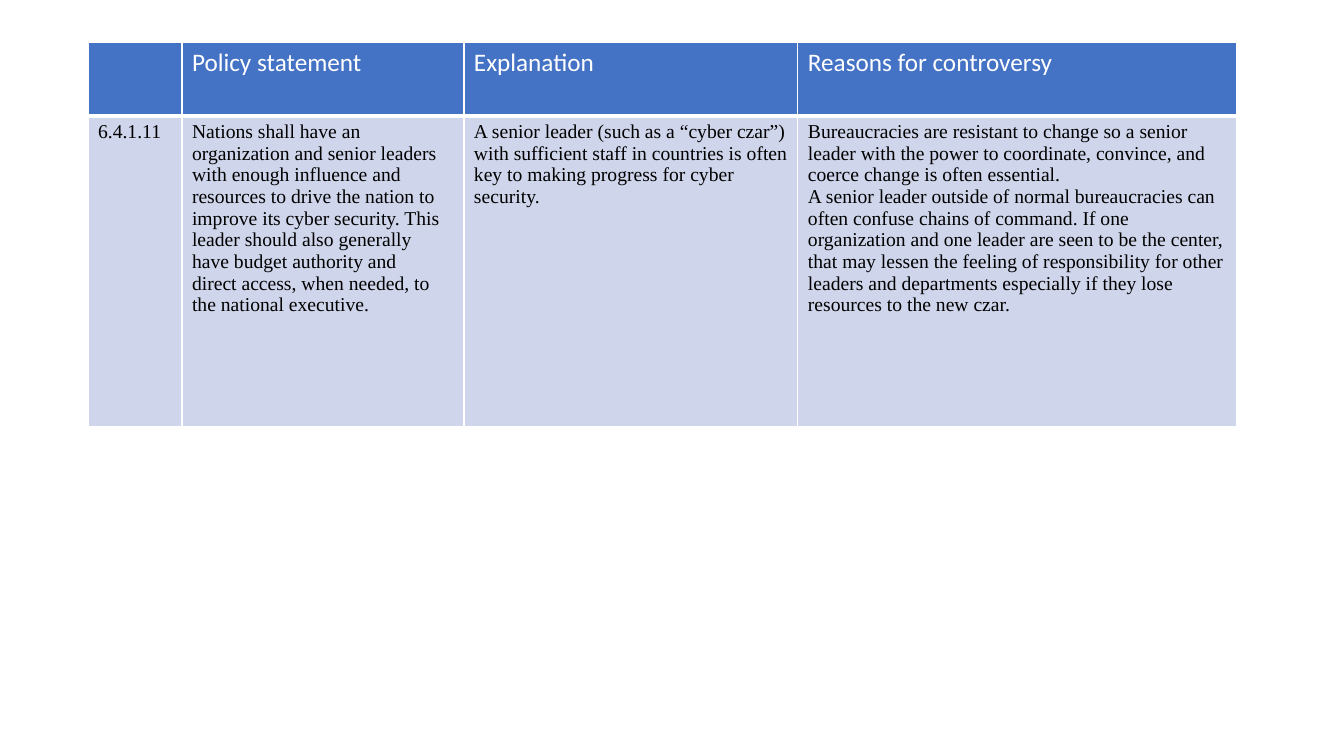
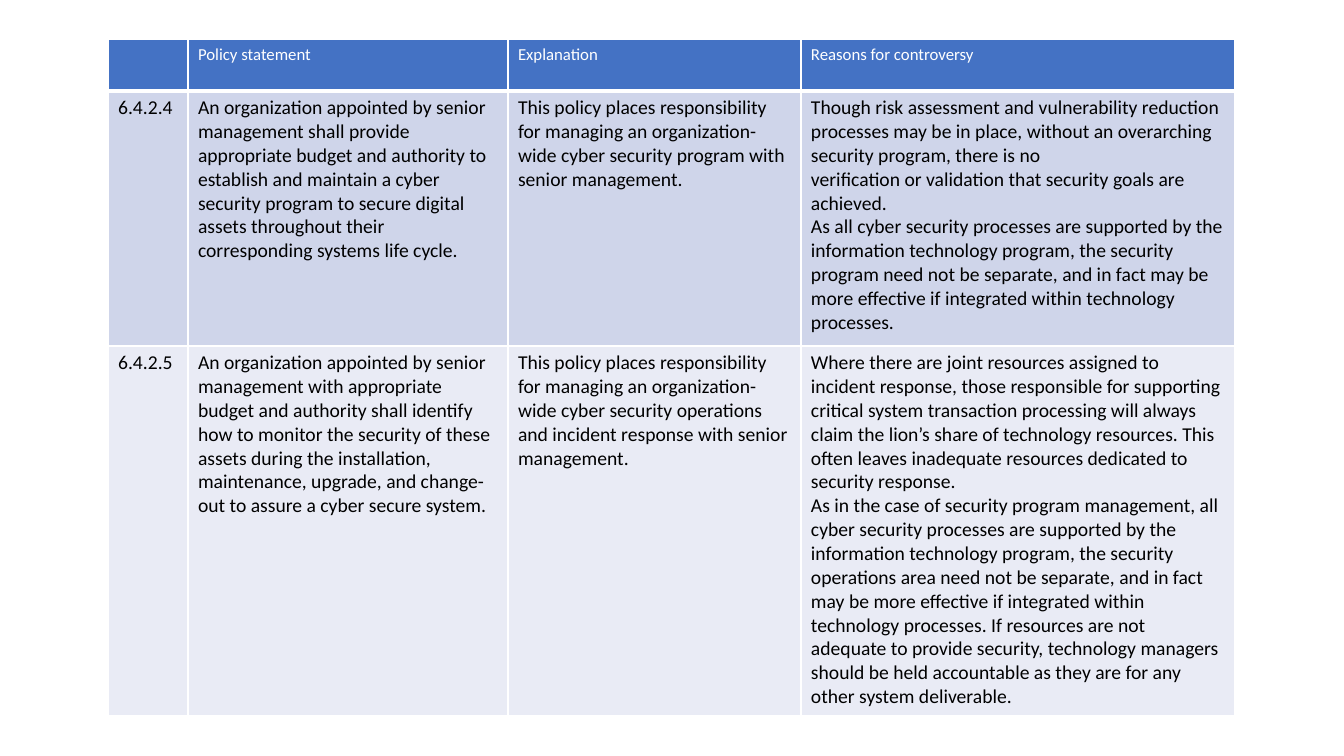
from lxml import etree
from pptx import Presentation
from pptx.dml.color import RGBColor
from pptx.oxml.ns import qn
from pptx.util import Emu, Pt

PX = 914400 / 100.8
SLIDE_W, SLIDE_H = 1344, 756

# Shared look
WHITE, BLACK = "FFFFFF", "000000"
HEADER_FILL = "4472C4"
BAND_FILLS = ["CFD5EA", "E9EBF5"]
HEADER_FONT = "Calibri"
BODY_SIZE = 14
THIN, THICK = 1, 3

# Content: a cell is a list of paragraphs
HEADER = [[], ["Policy statement"], ["Explanation"], ["Reasons for controversy"]]

SLIDES = [
    dict(
        left=88, top=42, cols=[94, 282, 334, 439], heights=[74, 311],
        header_size=18, body_font="Times New Roman",
        rows=[[
            ["6.4.1.11"],
            ["Nations shall have an",
             "organization and senior leaders",
             "with enough influence and",
             "resources to drive the nation to",
             "improve its cyber security. This",
             "leader should also generally",
             "have budget authority and",
             "direct access, when needed, to",
             "the national executive."],
            ["A senior leader (such as a “cyber czar”)",
             "with sufficient staff in countries is often",
             "key to making progress for cyber",
             "security."],
            ["Bureaucracies are resistant to change so a senior leader with the power "
             "to coordinate, convince, and coerce change is often essential.",
             "A senior leader outside of normal bureaucracies can often confuse chains "
             "of command. If one organization and one leader are seen to be the center, "
             "that may lessen the feeling of responsibility for other leaders and "
             "departments especially if they lose resources to the new czar."],
        ]],
    ),
    dict(
        left=108, top=39, cols=[80, 320, 293, 434], heights=[52, 255, 370],
        header_size=12, body_font="Calibri",
        rows=[[
            ["6.4.2.4"],
            ["An organization appointed by senior management shall provide appropriate "
             "budget and authority to establish and maintain a cyber security program to "
             "secure digital assets throughout their corresponding systems life cycle."],
            ["This policy places responsibility for managing an organization-wide cyber "
             "security program with senior management."],
            ["Though risk assessment and vulnerability reduction processes may be in "
             "place, without an overarching security program, there is no",
             "verification or validation that security goals are achieved.",
             "As all cyber security processes are supported by the information "
             "technology program, the security program need not be separate, and in "
             "fact may be more effective if integrated within technology",
             "processes."],
        ], [
            ["6.4.2.5"],
            ["An organization appointed by senior management with appropriate budget and "
             "authority shall identify how to monitor the security of these assets during "
             "the installation, maintenance, upgrade, and change-out to assure a cyber "
             "secure system."],
            ["This policy places responsibility for managing an organization-wide cyber "
             "security operations and incident response with senior",
             "management."],
            ["Where there are joint resources assigned to incident response, those "
             "responsible for supporting critical system transaction processing will "
             "always claim the lion’s share of technology resources. This",
             "often leaves inadequate resources dedicated to security response.",
             "As in the case of security program management, all cyber security "
             "processes are supported by the information technology program, the "
             "security operations area need not be separate, and in fact may be more "
             "effective if integrated within technology processes. If resources are not "
             "adequate to provide security, technology managers should be held "
             "accountable as they are for any other system deliverable."],
        ]],
    ),
]


def px(n):
    return Emu(round(n * PX))


def rgb(value):
    return RGBColor.from_string(value)


def write(tf, paragraphs, font, size, color):
    for i, text in enumerate(paragraphs):
        p = tf.paragraphs[0] if i == 0 else tf.add_paragraph()
        r = p.add_run()
        r.text = text
        r.font.name, r.font.size, r.font.bold = font, Pt(size), False
        r.font.color.rgb = rgb(color)


def set_borders(cell, top, bottom):
    tc_pr = cell._tc.get_or_add_tcPr()
    for side, width in (("L", THIN), ("R", THIN), ("T", top), ("B", bottom)):
        ln = etree.SubElement(tc_pr, qn("a:ln" + side), w=str(Pt(width)))
        fill = etree.SubElement(ln, qn("a:solidFill"))
        etree.SubElement(fill, qn("a:srgbClr"), val=WHITE)


def add_policy_table(s, left, top, cols, heights, header_size, body_font, rows):
    table = s.shapes.add_table(len(heights), len(cols), px(left), px(top),
                               px(sum(cols)), px(sum(heights))).table
    table.first_row = table.horz_banding = False
    for column, width in zip(table.columns, cols):
        column.width = px(width)
    for i, (height, row) in enumerate(zip(heights, [HEADER] + rows)):
        table.rows[i].height = px(height)
        if i == 0:
            fill, style = HEADER_FILL, dict(font=HEADER_FONT, size=header_size, color=WHITE)
        else:
            fill = BAND_FILLS[(i - 1) % len(BAND_FILLS)]
            style = dict(font=body_font, size=BODY_SIZE, color=BLACK)
        for j, paragraphs in enumerate(row):
            cell = table.cell(i, j)
            # Borders come before the fill in the cell properties
            set_borders(cell, top=THICK if i == 1 else THIN,
                        bottom=THICK if i == 0 else THIN)
            cell.fill.solid()
            cell.fill.fore_color.rgb = rgb(fill)
            write(cell.text_frame, paragraphs, **style)


def main():
    prs = Presentation()
    prs.slide_width, prs.slide_height = px(SLIDE_W), px(SLIDE_H)
    for content in SLIDES:
        s = prs.slides.add_slide(prs.slide_layouts[6])
        add_policy_table(s, **content)
    prs.save("out.pptx")


if __name__ == "__main__":
    main()
